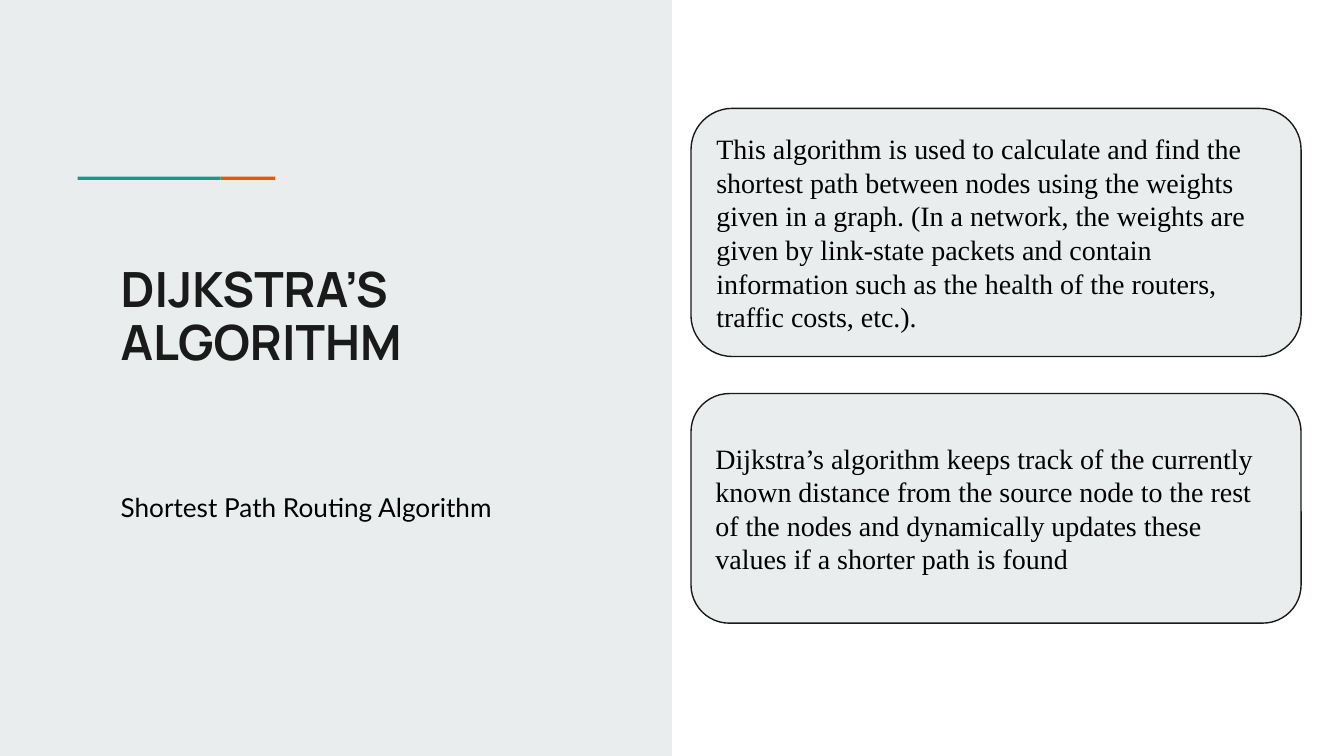
from dataclasses import dataclass

from pptx import Presentation
from pptx.dml.color import RGBColor
from pptx.enum.shapes import MSO_SHAPE
from pptx.enum.text import MSO_ANCHOR, PP_ALIGN
from pptx.util import Cm, Pt


@dataclass(frozen=True)
class Theme:
    panel: str = "E9EDEE"
    teal: str = "1A9988"
    orange: str = "EB5600"
    ink: str = "1A1A1A"
    text: str = "000000"
    title_size: float = 26
    body_size: float = 15
    subtitle_size: float = 14
    outline_width: float = 0.75


class SlideBuilder:
    """Draws styled elements on the current slide."""

    def __init__(self, slide, theme):
        self.slide = slide
        self.theme = theme

    def block(self, box, color, kind=MSO_SHAPE.RECTANGLE):
        shape = self.slide.shapes.add_shape(kind, *map(Cm, box))
        shape.shadow.inherit = False
        shape.fill.solid()
        shape.fill.fore_color.rgb = RGBColor.from_string(color)
        shape.line.fill.background()
        return shape

    def set_text(self, shape, text, font, size, color, bold=False, spacing=1.0,
                 top=0.25, anchor=MSO_ANCHOR.TOP):
        frame = shape.text_frame
        frame_format = {
            "word_wrap": True,
            "vertical_anchor": anchor,
            "margin_left": Cm(0.25),
            "margin_right": Cm(0.25),
            "margin_top": Cm(top),
            "margin_bottom": Cm(0.25),
        }
        for name, value in frame_format.items():
            setattr(frame, name, value)
        paragraph = frame.paragraphs[0]
        paragraph.text = text
        paragraph.alignment = PP_ALIGN.LEFT
        paragraph.line_spacing = spacing
        run_font = paragraph.runs[0].font
        for name, value in {"name": font, "size": Pt(size), "bold": bold}.items():
            setattr(run_font, name, value)
        run_font.color.rgb = RGBColor.from_string(color)

    def label(self, box, text, font, size, color, **style):
        shape = self.slide.shapes.add_textbox(*map(Cm, box))
        self.set_text(shape, text, font, size, color, **style)

    def card(self, box, text):
        theme = self.theme
        shape = self.block(box, theme.panel, MSO_SHAPE.ROUNDED_RECTANGLE)
        shape.line.color.rgb = RGBColor.from_string(theme.ink)
        shape.line.width = Pt(theme.outline_width)
        self.set_text(shape, text, "Times New Roman", theme.body_size, theme.text,
                      anchor=MSO_ANCHOR.MIDDLE)


def main():
    theme = Theme()
    presentation = Presentation()
    presentation.slide_width = Cm(25.4)
    presentation.slide_height = Cm(14.29)
    slide = presentation.slides.add_slide(presentation.slide_layouts[6])
    builder = SlideBuilder(slide, theme)

    builder.block((0, 0, 12.7, 14.29), theme.panel)
    builder.block((4.17, 3.34, 1.03, 0.06), theme.orange)
    builder.block((1.47, 3.34, 2.7, 0.06), theme.teal)
    builder.label((2.03, 3.66, 9.17, 4.7), "DIJKSTRA’S ALGORITHM", "Manrope",
                  theme.title_size, theme.ink, bold=True, spacing=0.9, top=1.37)
    builder.label((2.03, 9.04, 9.55, 1.12), "Shortest Path Routing Algorithm",
                  "Lato", theme.subtitle_size, theme.text)

    cards = [
        (2.05, 4.69, "This algorithm is used to calculate and find the shortest path "
         "between nodes using the weights given in a graph. (In a network, the "
         "weights are given by link-state packets and contain information such as "
         "the health of the routers, traffic costs, etc.)."),
        (7.44, 4.34, "Dijkstra’s algorithm keeps track of the currently known distance "
         "from the source node to the rest of the nodes and dynamically updates "
         "these values if a shorter path is found"),
    ]
    for top, height, text in cards:
        builder.card((13.06, top, 11.53, height), text)

    presentation.save("out.pptx")


if __name__ == "__main__":
    main()
